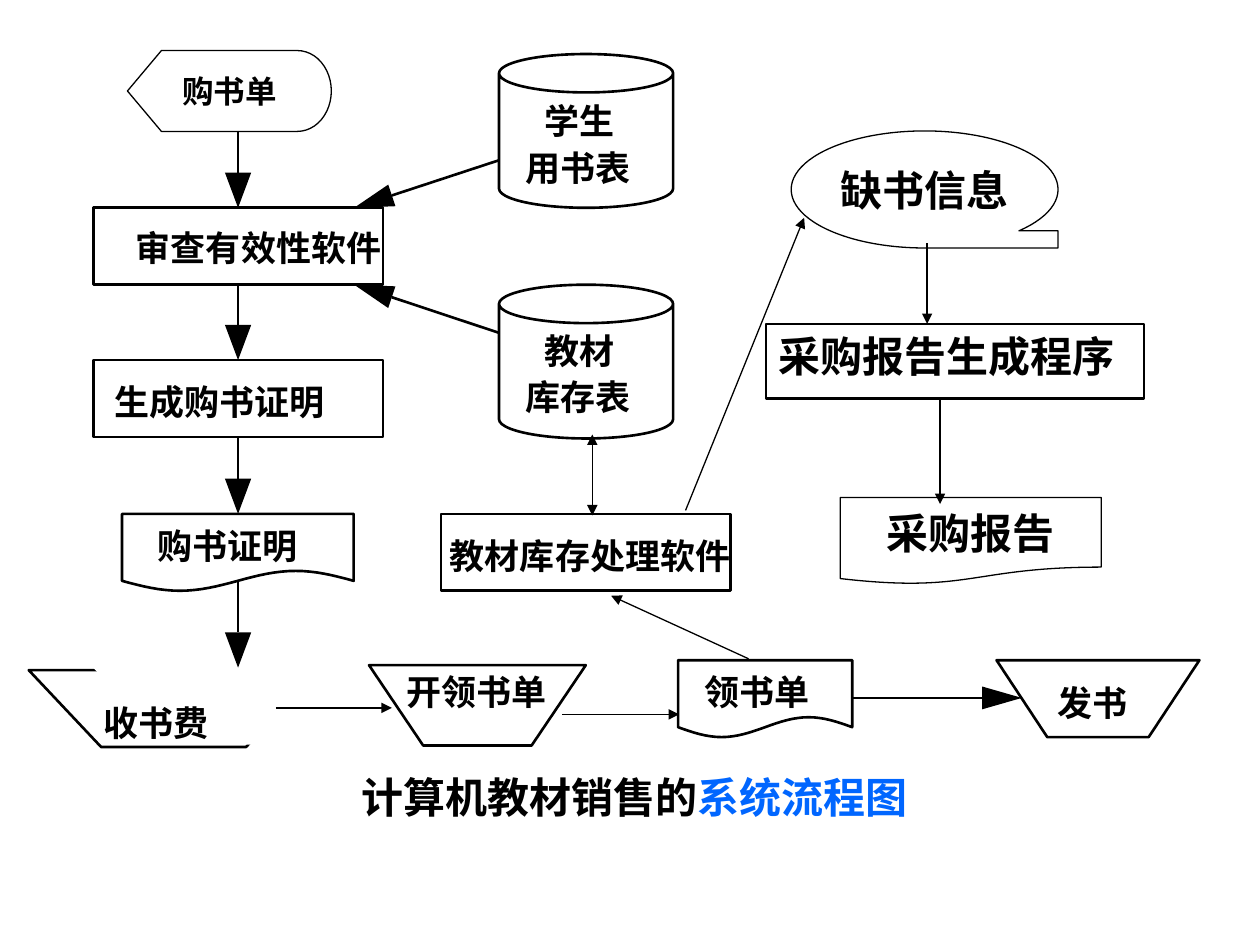
from math import hypot, pi, sin

from lxml.etree import SubElement
from pptx import Presentation
from pptx.dml.color import RGBColor
from pptx.enum.shapes import MSO_CONNECTOR as Connector, MSO_SHAPE as Shape
from pptx.enum.text import MSO_ANCHOR as Anchor, MSO_AUTO_SIZE as AutoSize, PP_ALIGN as Align
from pptx.oxml.ns import qn
from pptx.util import Cm, Pt

BLACK, WHITE, BLUE = "000000", "FFFFFF", "0066FF"
CJK = "Noto Sans CJK SC"
STEP_WIDTH, STEP_HEIGHT = 5.84, 1.55
FLOW_X = 4.8


def color(value):
    """Turn a hex string into a colour."""
    return RGBColor.from_string(value)


def write(frame, *parts, size=20, font=CJK, align=Align.LEFT, anchor=Anchor.TOP, wrap=True, inset=None):
    """Fill a text frame with one bold paragraph of (text, colour) parts."""
    frame.word_wrap = wrap
    frame.auto_size = AutoSize.NONE
    frame.vertical_anchor = anchor
    if inset is not None:
        frame.margin_left = frame.margin_right = Cm(inset)
        frame.margin_top = frame.margin_bottom = Cm(inset)
    paragraph = frame.paragraphs[0]
    paragraph.alignment = align
    for text, ink in parts:
        run = paragraph.add_run()
        run.text = text
        run.font.size, run.font.bold, run.font.name = Pt(size), True, font
        run.font.color.rgb = color(ink)
        SubElement(run.font._element, qn("a:ea"), typeface=CJK)


def paint(shape, fill=None, line=BLACK, weight=1.5):
    """Set fill and outline and drop the shadow."""
    shape.shadow.inherit = False
    if fill:
        shape.fill.solid()
        shape.fill.fore_color.rgb = color(fill)
    else:
        shape.fill.background()
    if line:
        shape.line.color.rgb = color(line)
        shape.line.width = Pt(weight)
    else:
        shape.line.fill.background()
    return shape


def symbol(slide, kind, left, top, width, height, **look):
    """Add a preset flowchart symbol."""
    return paint(slide.shapes.add_shape(kind, Cm(left), Cm(top), Cm(width), Cm(height)), **look)


def label(slide, text, left, top, width):
    """Add a text box without margins."""
    box = slide.shapes.add_textbox(Cm(left), Cm(top), Cm(width), Cm(0.84))
    write(box.text_frame, (text, BLACK), inset=0)


def polygon(slide, points, **look):
    """Add a closed outline through points."""
    start, *rest = [(Cm(x), Cm(y)) for x, y in points]
    builder = slide.shapes.build_freeform(*start, scale=1.0)
    builder.add_line_segments(rest, close=True)
    return paint(builder.convert_to_shape(), **look)


def manual_step(slide, left, top, width, height, **look):
    """Add a trapezoid that narrows by a quarter on each side."""
    right, bottom, slant = left + width, top + height, width / 4
    corners = [(left, top), (right, top), (right - slant, bottom), (left + slant, bottom)]
    return polygon(slide, corners, **look)


def slip(slide, left, top, width, height=1.35, depth=0.2, steps=32):
    """Add a paper slip with a wavy lower edge."""
    wave = [(left + width * i / steps, top + height + depth * sin(2 * pi * i / steps))
            for i in range(steps + 1)]
    return polygon(slide, [(left + width, top), (left, top)] + wave, fill=WHITE)


def arrow(slide, start, end, weight=0.75, ends=("tailEnd",)):
    """Add a straight connector with triangles at the given ends."""
    link = slide.shapes.add_connector(Connector.STRAIGHT, *map(Cm, start + end))
    link.line.color.rgb = color(BLACK)
    link.line.width = Pt(weight)
    for end_tag in ends:
        SubElement(link.line._get_or_add_ln(), qn("a:" + end_tag), type="triangle")
    SubElement(link._element.spPr, qn("a:effectLst"))
    return link


def bold_arrow(slide, start, tip, length=0.8, width=0.46, source=None):
    """Add a thick line with a large solid head, joined to the source's bottom."""
    (x0, y0), (x1, y1) = start, tip
    distance = hypot(x1 - x0, y1 - y0)
    dx, dy = (x1 - x0) / distance, (y1 - y0) / distance
    base_x, base_y = x1 - dx * length, y1 - dy * length
    link = arrow(slide, start, (base_x, base_y), weight=1.5, ends=())
    if source:
        link.begin_connect(source, 2)
    half = width / 2
    head = [(base_x - dy * half, base_y + dx * half), tip, (base_x + dy * half, base_y - dx * half)]
    polygon(slide, head, fill=BLACK, line=None)


def add_title(slide):
    """Place the caption below the diagram."""
    title = slide.shapes.title
    title.left, title.top, title.width, title.height = Cm(7.01), Cm(15.42), Cm(11.58), Cm(1.27)
    write(title.text_frame, ("计算机教材销售的", BLACK), ("系统流程图", BLUE), size=24,
          font="Calibri", align=Align.CENTER, anchor=Anchor.MIDDLE, wrap=False)


def add_symbols(slide):
    """Draw the flowchart symbols and return the steps that links start from."""
    manual_step(slide, 0.58, 13.51, STEP_WIDTH, STEP_HEIGHT)
    manual_step(slide, 1.88, 13.46, STEP_WIDTH, STEP_HEIGHT, fill=WHITE, line=None)
    manual_step(slide, 7.44, 13.41, 4.37, 1.62)
    manual_step(slide, 20.09, 13.31, 4.09, STEP_HEIGHT)
    for top in (1.09, 5.74):
        symbol(slide, Shape.CAN, 10.06, top, 3.51, 3.1)
    slip(slide, 2.46, 10.36, 4.67)
    slip(slide, 13.67, 13.31, 3.51)
    review, proof, _ = [symbol(slide, Shape.RECTANGLE, left, top, STEP_WIDTH, STEP_HEIGHT, fill=WHITE)
                        for left, top in ((1.88, 4.19), (1.88, 7.26), (8.89, 10.36))]
    program = symbol(slide, Shape.RECTANGLE, 15.44, 6.53, 7.62, 1.5)
    write(program.text_frame, ("采购报告生成程序", BLACK), size=24, font="Calibri")
    for text, size, kind, *place in (
        ("购书单", 18, Shape.FLOWCHART_DISPLAY, 2.57, 1.02, 4.11, 1.63),
        ("缺书信息", 24, Shape.FLOWCHART_SEQUENTIAL_ACCESS_STORAGE, 15.95, 2.64, 5.38, 2.36),
        ("采购报告", 24, Shape.FLOWCHART_DOCUMENT, 16.94, 10.03, 5.26, 1.75),
    ):
        item = symbol(slide, kind, *place, weight=0.75)
        write(item.text_frame, (text, BLACK), size=size, font="Calibri",
              align=Align.CENTER, anchor=Anchor.MIDDLE, wrap=False)
    return review, proof


def add_labels(slide):
    """Write the captions that lie over the symbols."""
    for text, left, top, width in (
        ("审查有效性软件", 2.74, 4.57, 5), ("生成购书证明", 2.31, 7.67, 4.3),
        ("购书证明", 3.18, 10.57, 3.4), ("学生", 10.97, 2.01, 1.85),
        ("用书表", 10.59, 2.95, 2.2), ("教材", 10.97, 6.65, 2.11),
        ("库存表", 10.59, 7.57, 2.2), ("教材库存处理软件", 9.07, 10.77, 6.22),
        ("收书费", 2.08, 14.15, 2.67), ("开领书单", 8.2, 13.51, 4.37),
        ("领书单", 14.2, 13.51, 2.59), ("发书", 21.31, 13.74, 2.13),
    ):
        label(slide, text, left, top, width)


def add_links(slide, review, proof):
    """Draw the arrows between the symbols."""
    for start, tip, source in ((2.64, 4.19, None), (5.74, 7.26, review),
                               (8.81, 10.36, proof), (11.71, 13.46, None)):
        bold_arrow(slide, (FLOW_X, start), (FLOW_X, tip), 0.71, 0.53, source)
    for start, tip in (((10.06, 3.23), (7.14, 4.19)), ((10.06, 6.71), (7.14, 5.74)),
                       ((17.17, 14.07), (20.6, 14.07))):
        bold_arrow(slide, start, tip)
    arrow(slide, (5.56, 14.27), (7.9, 14.27), weight=1.5)
    arrow(slide, (11.94, 8.76), (11.94, 10.39), ends=("headEnd", "tailEnd"))
    for start, end in (((13.82, 10.29), (16.21, 4.39)), ((18.69, 4.9), (18.69, 6.53)),
                       ((18.95, 8.03), (18.95, 10.16)), ((11.33, 14.4), (13.69, 14.4)),
                       ((15.09, 13.28), (12.32, 12.01))):
        arrow(slide, start, end)


def main():
    """Build and save the slide."""
    deck = Presentation()
    deck.slide_width, deck.slide_height = Cm(25.4), Cm(19.05)
    slide = deck.slides.add_slide(deck.slide_layouts[5])
    add_title(slide)
    review, proof = add_symbols(slide)
    add_labels(slide)
    add_links(slide, review, proof)
    deck.save("out.pptx")


if __name__ == "__main__":
    main()
